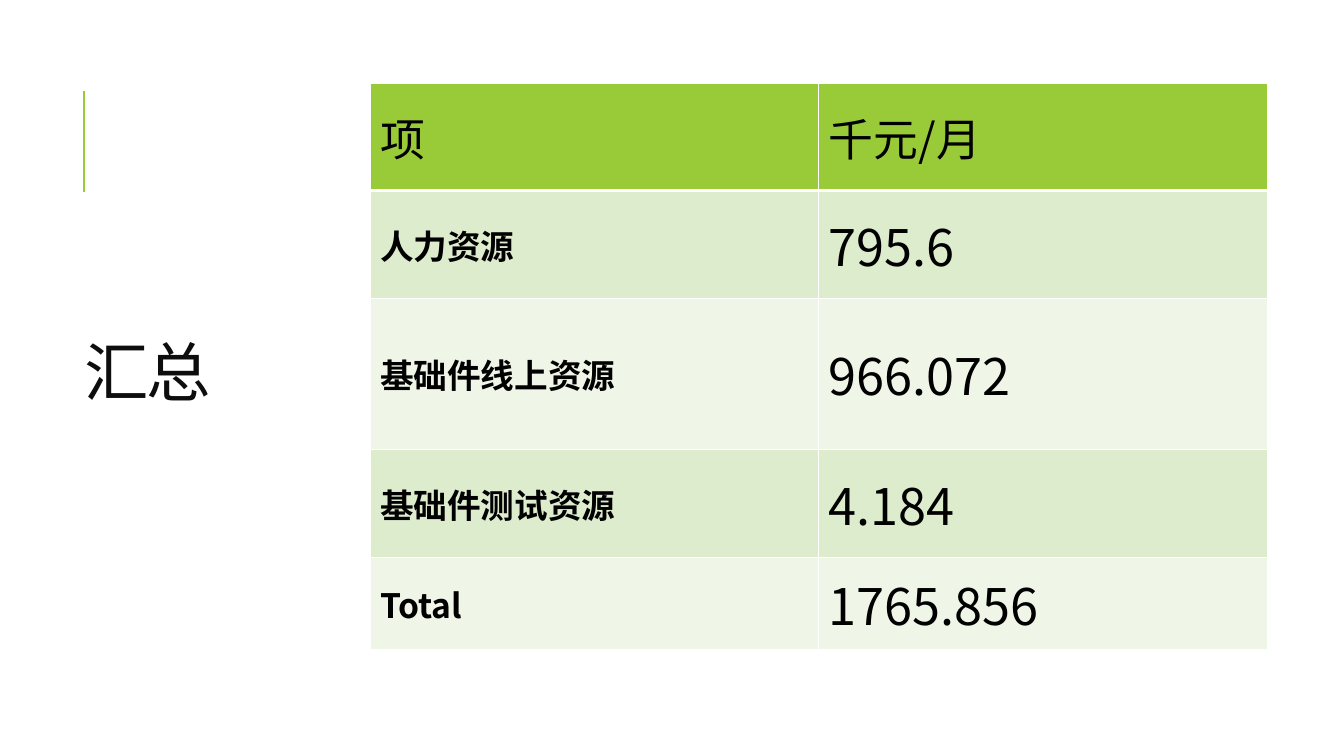
from dataclasses import dataclass

import pptx
import pptx.dml.color
import pptx.enum.shapes
import pptx.enum.text
import pptx.oxml
import pptx.oxml.ns
import pptx.util
from pptx.util import Inches

FONT = "Noto Sans CJK SC"
GREEN, WHITE, BLACK = "99CB38", "FFFFFF", "000000"
BANDS = ("DEECCE", "EFF6E8")


@dataclass
class Row:
    item: str
    cost: str
    height: float


HEADER = Row("项", "千元/月", 1.06)
ROWS = [
    Row("人力资源", "795.6", 1.07),
    Row("基础件线上资源", "966.072", 1.5),
    Row("基础件测试资源", "4.184", 1.07),
    Row("Total", "1765.856", 0.92),
]


def rgb(value: str) -> pptx.dml.color.RGBColor:
    return pptx.dml.color.RGBColor.from_string(value)


def add_run(p, text: str, size: float, color: str, bold: bool = False):
    r = p.add_run()
    r.text = text
    r.font.size = pptx.util.Pt(size)
    r.font.bold = bold
    r.font.color.rgb = rgb(color)
    r.font.name = FONT
    rpr = r.font._element
    ea = pptx.oxml.parse_xml(f'<a:ea {pptx.oxml.ns.nsdecls("a")} typeface="{FONT}"/>')
    rpr.find(pptx.oxml.ns.qn("a:latin")).addnext(ea)
    return r


def add_border(cell, side: str, width: float) -> None:
    cell._tc.get_or_add_tcPr().append(pptx.oxml.parse_xml(
        f'<a:ln{side} {pptx.oxml.ns.nsdecls("a")} w="{pptx.util.Pt(width)}">'
        f'<a:solidFill><a:srgbClr val="{WHITE}"/></a:solidFill></a:ln{side}>'))


def fill_cell(cell, text: str, size: float, bold: bool, fill: str,
              top: float, bottom: float) -> None:
    for side, width in (("L", 1), ("R", 1), ("T", top), ("B", bottom)):
        add_border(cell, side, width)
    cell.fill.solid()
    cell.fill.fore_color.rgb = rgb(fill)
    cell.vertical_anchor = pptx.enum.text.MSO_ANCHOR.MIDDLE
    add_run(cell.text_frame.paragraphs[0], text, size, BLACK, bold)


def add_accent(s) -> None:
    line = s.shapes.add_connector(
        pptx.enum.shapes.MSO_CONNECTOR.STRAIGHT,
        Inches(0.83), Inches(1.9), Inches(0.83), Inches(0.9))
    line.line.color.rgb = rgb(GREEN)
    line.line.width = pptx.util.Pt(1.5)
    line._element.spPr.append(
        pptx.oxml.parse_xml(f'<a:effectLst {pptx.oxml.ns.nsdecls("a")}/>'))


def format_title(s) -> None:
    sp = s.shapes.title
    sp.left, sp.top = Inches(0.84), Inches(0.7)
    sp.width, sp.height = Inches(3.21), Inches(6.09)
    tf = sp.text_frame
    tf.word_wrap = True
    tf.auto_size = pptx.enum.text.MSO_AUTO_SIZE.NONE
    tf.vertical_anchor = pptx.enum.text.MSO_ANCHOR.MIDDLE
    tf.margin_left = tf.margin_right = tf.margin_top = tf.margin_bottom = 0
    p = tf.paragraphs[0]
    p.alignment = pptx.enum.text.PP_ALIGN.LEFT
    p.line_spacing = 0.8
    r = add_run(p, "汇总", 46, "0D0D0D")
    r.font._element.set("spc", "-150")


def add_cost_table(s) -> None:
    rows = [HEADER, *ROWS]
    height = sum(row.height for row in rows)
    table = s.shapes.add_table(len(rows), 2, Inches(3.67), Inches(0.83),
                               Inches(8.9), Inches(height)).table
    for i, row in enumerate(rows):
        table.rows[i].height = Inches(row.height)
        header = i == 0
        fill = GREEN if header else BANDS[(i - 1) % 2]
        top, bottom = (3 if i == 1 else 1), (3 if header else 1)
        fill_cell(table.cell(i, 0), row.item, 32 if header else 24,
                  not header, fill, top, bottom)
        fill_cell(table.cell(i, 1), row.cost, 32 if header else 36,
                  False, fill, top, bottom)


def main() -> None:
    prs = pptx.Presentation()
    prs.slide_width, prs.slide_height = Inches(13.33), Inches(7.5)
    s = prs.slides.add_slide(prs.slide_layouts[5])
    s.background.fill.solid()
    s.background.fill.fore_color.rgb = rgb(WHITE)

    # Title with its accent line
    add_accent(s)
    format_title(s)

    # Monthly costs
    add_cost_table(s)

    prs.save("out.pptx")


if __name__ == "__main__":
    main()
